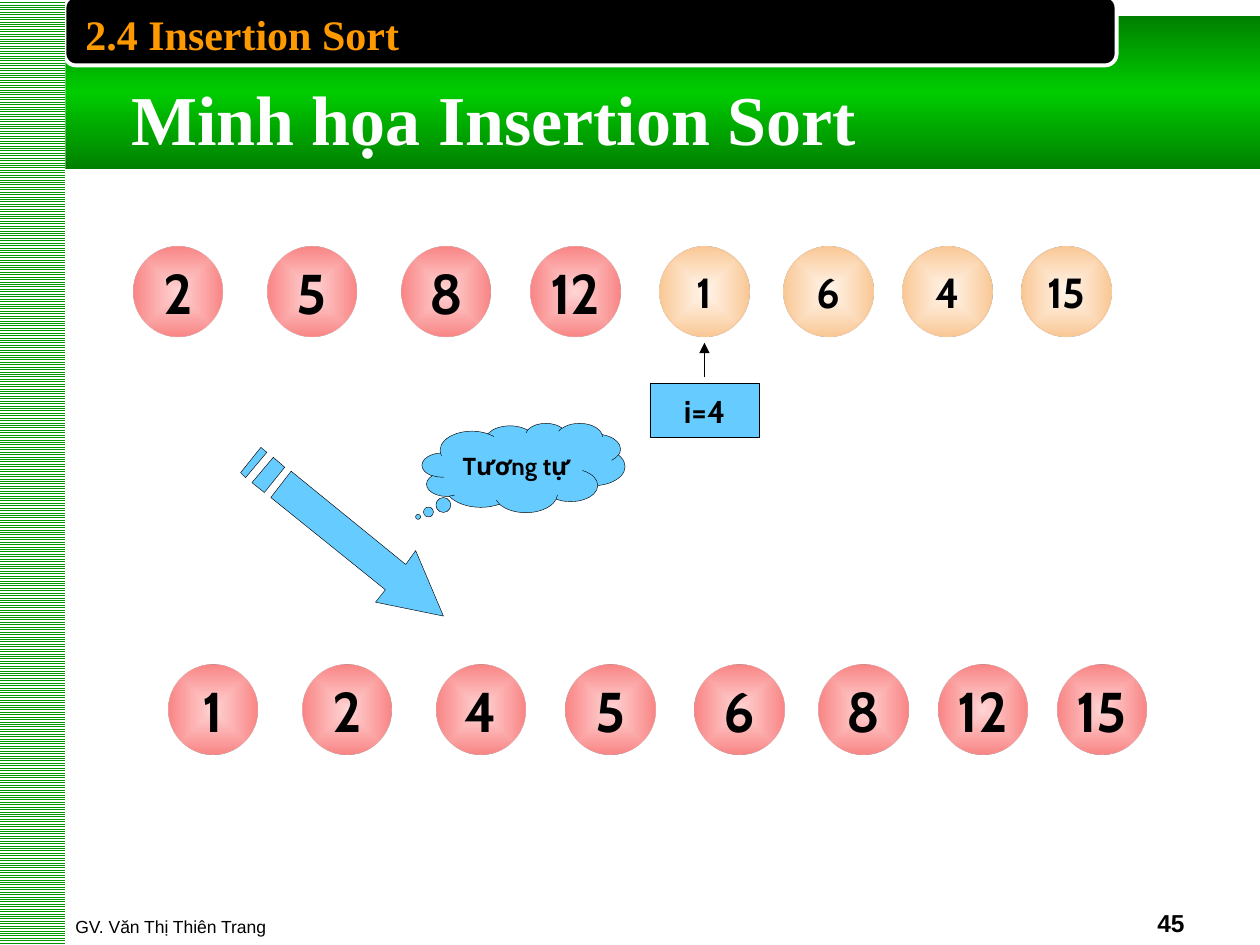
from dataclasses import dataclass

from lxml import etree
from pptx import Presentation
from pptx.dml.color import RGBColor
from pptx.enum.dml import MSO_PATTERN
from pptx.enum.shapes import MSO_CONNECTOR, MSO_SHAPE
from pptx.enum.text import MSO_ANCHOR, PP_ALIGN
from pptx.oxml.ns import qn
from pptx.shapes.autoshape import Shape
from pptx.slide import Slide
from pptx.util import Cm, Pt

RECTANGLE, ROUNDED = MSO_SHAPE.RECTANGLE, MSO_SHAPE.ROUNDED_RECTANGLE
OVAL, CLOUD = MSO_SHAPE.OVAL, MSO_SHAPE.CLOUD_CALLOUT
STRAIGHT = MSO_CONNECTOR.STRAIGHT
STRIPES = MSO_PATTERN.LIGHT_HORIZONTAL
LEFT, CENTER, RIGHT = PP_ALIGN.LEFT, PP_ALIGN.CENTER, PP_ALIGN.RIGHT
TOP, MIDDLE, BOTTOM = MSO_ANCHOR.TOP, MSO_ANCHOR.MIDDLE, MSO_ANCHOR.BOTTOM

COLORS = {
    "black": "000000", "white": "FFFFFF", "orange": "FF9900", "blue": "66CCFF",
    "dark green": "008000", "bright green": "00CC00", "stripe green": "009900",
    "red center": "FF8989", "red edge": "FA8686",
    "peach center": "FFCC99", "peach edge": "FAC896", "peach line": "FFC489",
}
HAIRLINE = 0.25
BALL_SIZE = 1.8
BALL_LEFTS = (2.69, 5.39, 8.09, 10.7, 13.3, 15.8, 18.2, 20.6)
# Whole hundredths of a centimetre: the freeform builder rounds to integers.
ARROW_UNIT = Cm(0.01)
ARROW_PARTS = (
    ((838, 1110), (818, 1138), (587, 950), (546, 1003),
     (777, 1189), (757, 1214), (894, 1242)),
    ((551, 922), (508, 973), (533, 993), (574, 942)),
    ((526, 902), (485, 953), (495, 963), (538, 912)),
)


@dataclass(frozen=True)
class Box:
    left: float
    top: float
    width: float
    height: float

    def lengths(self) -> tuple:
        return Cm(self.left), Cm(self.top), Cm(self.width), Cm(self.height)


@dataclass(frozen=True)
class TextStyle:
    size: float
    font: str = "Cabin"
    color: str = "black"
    bold: bool = True
    align: PP_ALIGN = CENTER
    anchor: MSO_ANCHOR = MIDDLE
    wrap: bool = False


@dataclass(frozen=True)
class BallStyle:
    center: str
    edge: str
    opacity: int
    font_size: int
    line: str | None = None


@dataclass(frozen=True)
class Caption:
    text: str
    box: Box
    style: TextStyle


SORTED = BallStyle("red center", "red edge", 35, 32)
UNSORTED = BallStyle("peach center", "peach edge", 17, 24, "peach line")

CAPTIONS = (
    Caption("GV. Văn Thị Thiên Trang", Box(1.27, 17.75, 15.44, 1.27),
            TextStyle(10, "Arial", bold=False, align=LEFT, anchor=BOTTOM, wrap=True)),
    Caption("45", Box(18.21, 17.75, 5.92, 1.27),
            TextStyle(14, "Arial", align=RIGHT, anchor=BOTTOM, wrap=True)),
    Caption("2.4 Insertion Sort", Box(1.47, 0.05, 19.48, 1.27),
            TextStyle(24, "Times New Roman", "orange", align=LEFT, anchor=TOP, wrap=True)),
)
TITLE = Caption("Minh họa Insertion Sort", Box(2.39, 1.4, 15.14, 1.96),
                TextStyle(40, "Times New Roman", "white", align=LEFT, anchor=TOP))


def rgb(name: str) -> RGBColor:
    return RGBColor.from_string(COLORS[name])


def write_text(shape: Shape, text: str, style: TextStyle) -> None:
    frame = shape.text_frame
    frame.text = text
    frame.word_wrap = style.wrap
    frame.vertical_anchor = style.anchor
    paragraph = frame.paragraphs[0]
    paragraph.alignment = style.align
    font = paragraph.runs[0].font
    values = {"size": Pt(style.size), "name": style.font, "bold": style.bold}
    for attribute, value in values.items():
        setattr(font, attribute, value)
    font.color.rgb = rgb(style.color)


def paint(shape: Shape, fill: str | None = None, line: str | None = None,
          line_width: float = HAIRLINE) -> None:
    shape.shadow.inherit = False
    if fill:
        shape.fill.solid()
        shape.fill.fore_color.rgb = rgb(fill)
    if line:
        shape.line.color.rgb = rgb(line)
        shape.line.width = Pt(line_width)
    else:
        shape.line.fill.background()


def start_gradient(shape: Shape, stops: list[tuple[int, str, int]]) -> etree._Element:
    """Set stops of (position, colour, opacity), all in percent, and return the fill."""
    shape.fill.gradient()
    gradient = shape._element.spPr.find(qn("a:gradFill"))
    for child in list(gradient):
        gradient.remove(child)
    stop_list = etree.SubElement(gradient, qn("a:gsLst"))
    for position, color, opacity in stops:
        stop = etree.SubElement(stop_list, qn("a:gs"), pos=str(position * 1000))
        value = etree.SubElement(stop, qn("a:srgbClr"), val=COLORS[color])
        if opacity < 100:
            etree.SubElement(value, qn("a:alpha"), val=str(opacity * 1000))
    return gradient


def add_background(slide: Slide) -> None:
    banner = slide.shapes.add_shape(RECTANGLE, *Box(0, 0.33, 25.43, 3.07).lengths())
    paint(banner)
    gradient = start_gradient(banner, [(0, "dark green", 100), (50, "bright green", 100),
                                       (100, "dark green", 100)])
    etree.SubElement(gradient, qn("a:lin"), ang="5400000", scaled="0")

    tab = slide.shapes.add_shape(ROUNDED, *Box(1.3, -0.08, 21.21, 1.4).lengths())
    paint(tab, "black", "white", 2.25)

    sidebar = slide.shapes.add_shape(RECTANGLE, *Box(-0.03, 0, 1.35, 19.05).lengths())
    paint(sidebar)
    sidebar.fill.patterned()
    sidebar.fill.pattern = STRIPES
    sidebar.fill.fore_color.rgb = rgb("stripe green")
    sidebar.fill.back_color.rgb = rgb("white")


def add_ball(slide: Slide, number: int, left: float, top: float, style: BallStyle) -> None:
    ball = slide.shapes.add_shape(OVAL, *Box(left, top, BALL_SIZE, BALL_SIZE).lengths())
    paint(ball, line=style.line)
    gradient = start_gradient(ball, [(0, style.center, style.opacity), (100, style.edge, 100)])
    focus = etree.SubElement(gradient, qn("a:path"), path="shape")
    etree.SubElement(focus, qn("a:fillToRect"), l="50000", t="50000", r="50000", b="50000")
    write_text(ball, str(number), TextStyle(style.font_size))


def add_row(slide: Slide, numbers: list[int], sorted_count: int,
            top: float, shift: float = 0) -> None:
    for index, (number, left) in enumerate(zip(numbers, BALL_LEFTS)):
        style = SORTED if index < sorted_count else UNSORTED
        add_ball(slide, number, left + shift, top, style)


def add_index_marker(slide: Slide) -> None:
    marker = slide.shapes.add_shape(RECTANGLE, *Box(13.1, 7.73, 2.21, 1.09).lengths())
    paint(marker, "blue", "black")
    write_text(marker, "i=4", TextStyle(18))
    pointer = slide.shapes.add_connector(STRAIGHT, Cm(14.2), Cm(7.6), Cm(14.2), Cm(6.91))
    pointer.line.color.rgb = rgb("black")
    pointer.line.width = Pt(HAIRLINE)
    etree.SubElement(pointer.line._get_or_add_ln(), qn("a:tailEnd"), type="triangle")
    etree.SubElement(pointer._element.spPr, qn("a:effectLst"))


def add_striped_arrow(slide: Slide) -> None:
    (start, *rest), *stripes = ARROW_PARTS
    builder = slide.shapes.build_freeform(*start, scale=float(ARROW_UNIT))
    builder.add_line_segments(rest)
    for first, *others in stripes:
        builder.move_to(*first)
        builder.add_line_segments(others)
    paint(builder.convert_to_shape(), "blue", "black")


def add_thought(slide: Slide) -> None:
    cloud = slide.shapes.add_shape(CLOUD, *Box(8.51, 8.53, 4.09, 1.8).lengths())
    cloud.adjustments[0], cloud.adjustments[1] = -0.52, 0.55
    paint(cloud, "blue", "black")
    write_text(cloud, "Tương tự", TextStyle(14, wrap=True))


def main() -> None:
    presentation = Presentation()
    presentation.slide_width, presentation.slide_height = Cm(25.4), Cm(19.05)
    slide = presentation.slides.add_slide(presentation.slide_layouts[5])
    add_background(slide)
    title = slide.shapes.title
    title.left, title.top, title.width, title.height = TITLE.box.lengths()
    write_text(title, TITLE.text, TITLE.style)
    title._element.getparent().append(title._element)  # in front of the banner
    add_row(slide, [2, 5, 8, 12, 1, 6, 4, 15], sorted_count=4, top=4.98)
    add_index_marker(slide)
    add_row(slide, [1, 2, 4, 5, 6, 8, 12, 15], sorted_count=8, top=13.41, shift=0.71)
    add_striped_arrow(slide)
    add_thought(slide)
    for caption in CAPTIONS:
        write_text(slide.shapes.add_textbox(*caption.box.lengths()), caption.text, caption.style)
    presentation.save("out.pptx")


if __name__ == "__main__":
    main()
